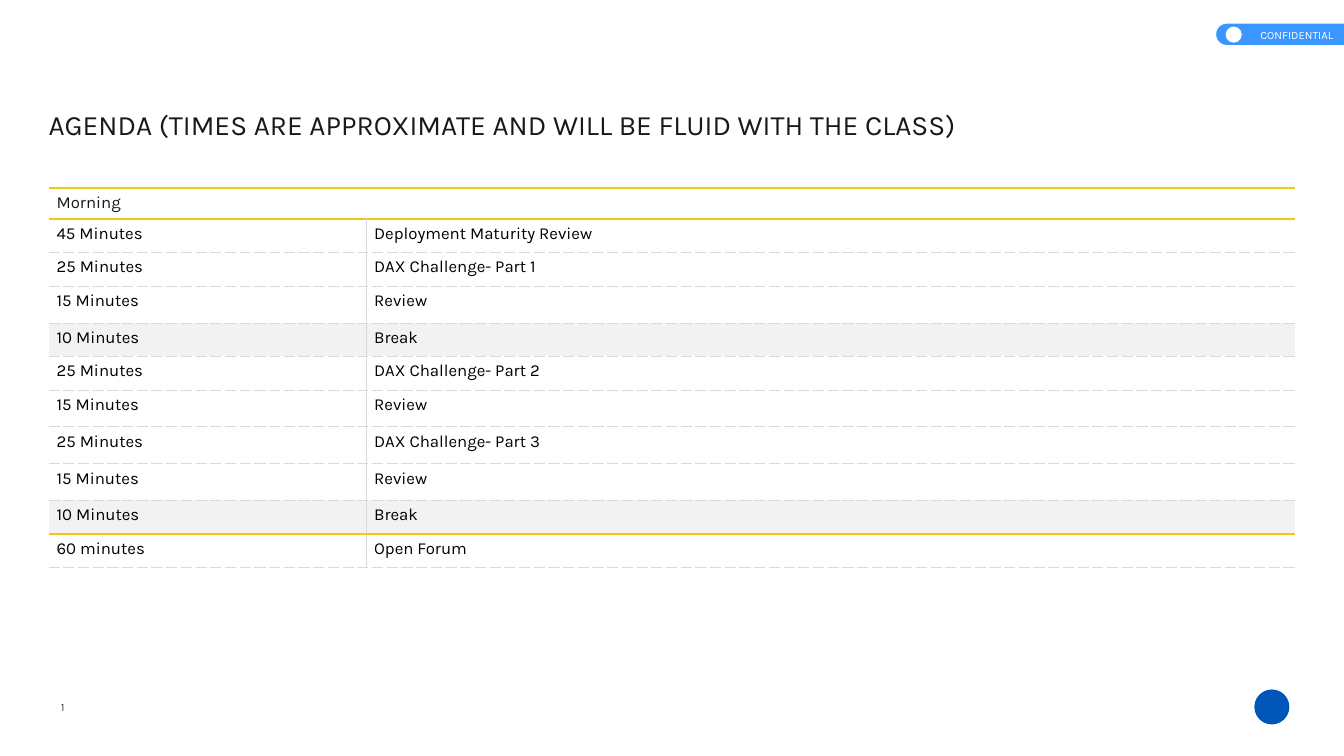
from lxml.etree import SubElement
from pptx import Presentation
from pptx.dml.color import RGBColor
from pptx.enum.shapes import MSO_SHAPE as Preset
from pptx.enum.text import MSO_ANCHOR as Anchor, PP_ALIGN as Align
from pptx.oxml.ns import qn
from pptx.util import Pt

GOLD_RULE = ("F2C811", 1.5, "solid")
DASHED_RULE = ("D9D9D9", 0.5, "dash")
COLUMN_RULE = ("D9D9D9", 0.5, "solid")
GOLD_EDGES = (0, 1, 10)

AGENDA = [
    ("Morning", "", 22),
    ("45 Minutes", "Deployment Maturity Review", 24),
    ("25 Minutes", "DAX Challenge- Part 1", 24),
    ("15 Minutes", "Review", 26.3),
    ("10 Minutes", "Break", 24),
    ("25 Minutes", "DAX Challenge- Part 2", 24),
    ("15 Minutes", "Review", 26.3),
    ("25 Minutes", "DAX Challenge- Part 3", 26.3),
    ("15 Minutes", "Review", 26.3),
    ("10 Minutes", "Break", 24),
    ("60 minutes", "Open Forum", 24),
]


def rgb(value):
    return RGBColor.from_string(value)


class AgendaSlide:
    font = "Karla"
    ink = "191919"

    def __init__(self, deck):
        self.slide = deck.slides.add_slide(deck.slide_layouts[6])

    def run(self, paragraph, words, size, color):
        run = paragraph.add_run()
        run.text = words
        run.font.name = self.font
        run.font.size = Pt(size)
        run.font.color.rgb = rgb(color)

    def text(self, box, words, size, color, align=Align.LEFT,
             anchor=Anchor.TOP, insets=(0, 0, 0, 0), spacing=None):
        frame = self.slide.shapes.add_textbox(*map(Pt, box)).text_frame
        frame.word_wrap = True
        frame.vertical_anchor = anchor
        (frame.margin_left, frame.margin_top,
         frame.margin_right, frame.margin_bottom) = map(Pt, insets)
        paragraph = frame.paragraphs[0]
        paragraph.alignment = align
        if spacing:
            paragraph.line_spacing = Pt(spacing)
        self.run(paragraph, words, size, color)

    def shape(self, preset, box, color, rotation=0, adjustments=()):
        shape = self.slide.shapes.add_shape(preset, *map(Pt, box))
        shape.shadow.inherit = False
        shape.fill.solid()
        shape.fill.fore_color.rgb = rgb(color)
        shape.line.fill.background()
        shape.rotation = rotation
        for index, value in enumerate(adjustments):
            shape.adjustments[index] = value

    def borders(self, cell, rules):
        properties = cell._tc.get_or_add_tcPr()
        for index, (side, rule) in enumerate(zip("LRTB", rules)):
            line = SubElement(properties, qn(f"a:ln{side}"))
            properties.insert(index, line)
            if rule is None:
                SubElement(line, qn("a:noFill"))
                continue
            color, width, dash = rule
            line.set("w", str(Pt(width)))
            fill = SubElement(line, qn("a:solidFill"))
            SubElement(fill, qn("a:srgbClr"), val=color)
            SubElement(line, qn("a:prstDash"), val=dash)

    def cell(self, cell, words, color, shaded, rules):
        cell.margin_left = cell.margin_right = Pt(5.76)
        cell.margin_top = cell.margin_bottom = Pt(3.6)
        if shaded:
            cell.fill.solid()
            cell.fill.fore_color.rgb = rgb("F2F2F2")
        else:
            cell.fill.background()
        self.borders(cell, rules)
        if words:
            self.run(cell.text_frame.paragraphs[0], words, 12, color)

    def agenda(self, left, top, widths, rows):
        heights = [height for _, _, height in rows]
        table = self.slide.shapes.add_table(
            len(rows), len(widths), Pt(left), Pt(top),
            Pt(sum(widths)), Pt(sum(heights))).table
        table.first_row = table.horz_banding = False
        for column, width in zip(table.columns, widths):
            column.width = Pt(width)
        edges = [GOLD_RULE if edge in GOLD_EDGES else DASHED_RULE
                 for edge in range(len(rows) + 1)]
        for index, (duration, topic, height) in enumerate(rows):
            table.rows[index].height = Pt(height)
            heading = index == 0
            divider = None if heading else COLUMN_RULE
            color = self.ink if heading else "000000"
            above, below = edges[index:index + 2]
            shaded = topic == "Break"
            self.cell(table.cell(index, 0), duration, color, shaded,
                      (None, divider, above, below))
            self.cell(table.cell(index, 1), topic, color, shaded,
                      (divider, None, above, below))
        table.cell(0, 0).merge(table.cell(0, 1))


def main():
    deck = Presentation()
    deck.slide_width, deck.slide_height = Pt(960), Pt(540)
    page = AgendaSlide(deck)
    page.text((2.2, 496.8, 43.9, 17.3), "1", 8, "303E48",
              align=Align.RIGHT, insets=(7.2, 3.6, 0, 3.6))
    page.shape(Preset.OVAL, (896, 492.5, 25, 25), "0055B8")
    page.shape(Preset.ROUND_2_SAME_RECTANGLE, (906.8, -21.15, 15.1, 91.3),
               "3B96FF", rotation=90, adjustments=(0, 0.5))
    page.text((892.8, 20.2, 67, 9.4), "CONFIDENTIAL", 8, "FFFFFF",
              align=Align.CENTER, anchor=Anchor.MIDDLE)
    page.shape(Preset.OVAL, (875.5, 19, 11.5, 11.5), "FFFFFF")
    page.text((34.7, 69.1, 890, 28.8),
              "AGENDA (TIMES ARE APPROXIMATE AND WILL BE FLUID WITH THE CLASS)",
              20, page.ink, spacing=31.4)
    page.agenda(34.7, 134.4, (226.8, 663.2), AGENDA)
    deck.save("out.pptx")


if __name__ == "__main__":
    main()
